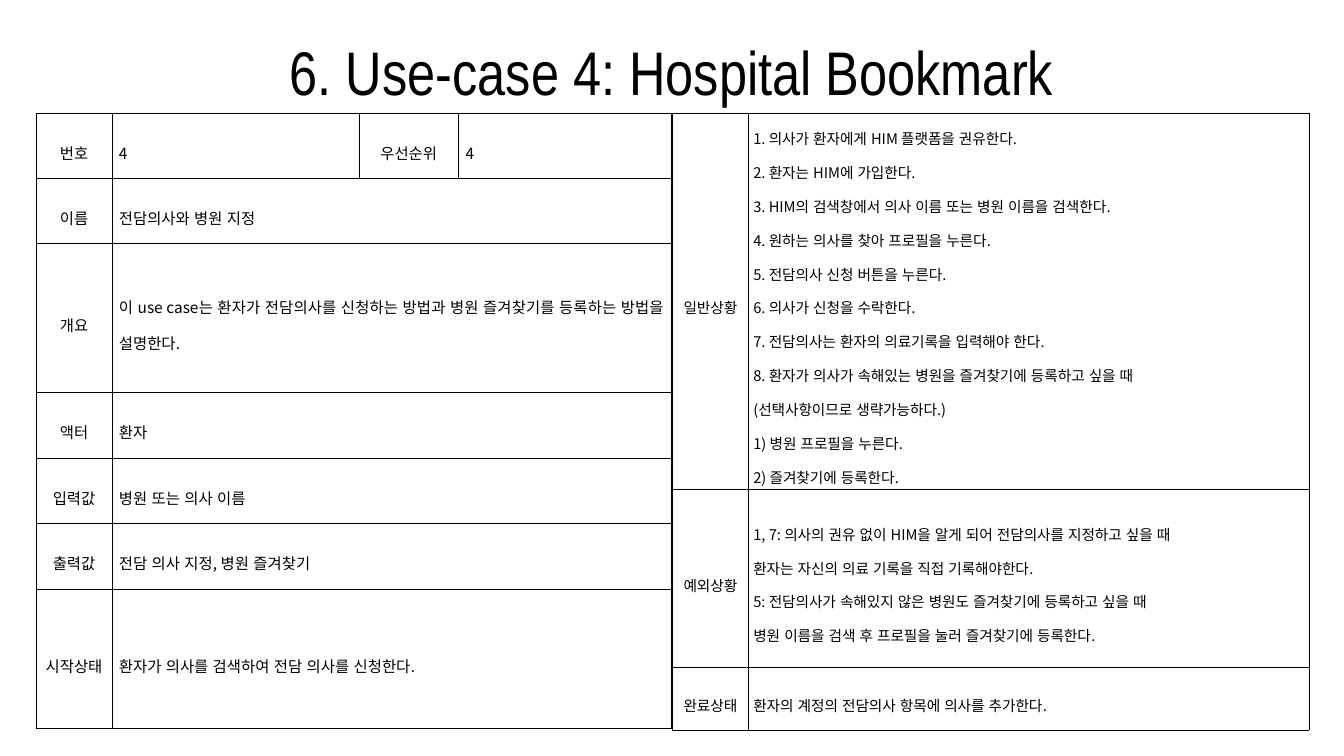
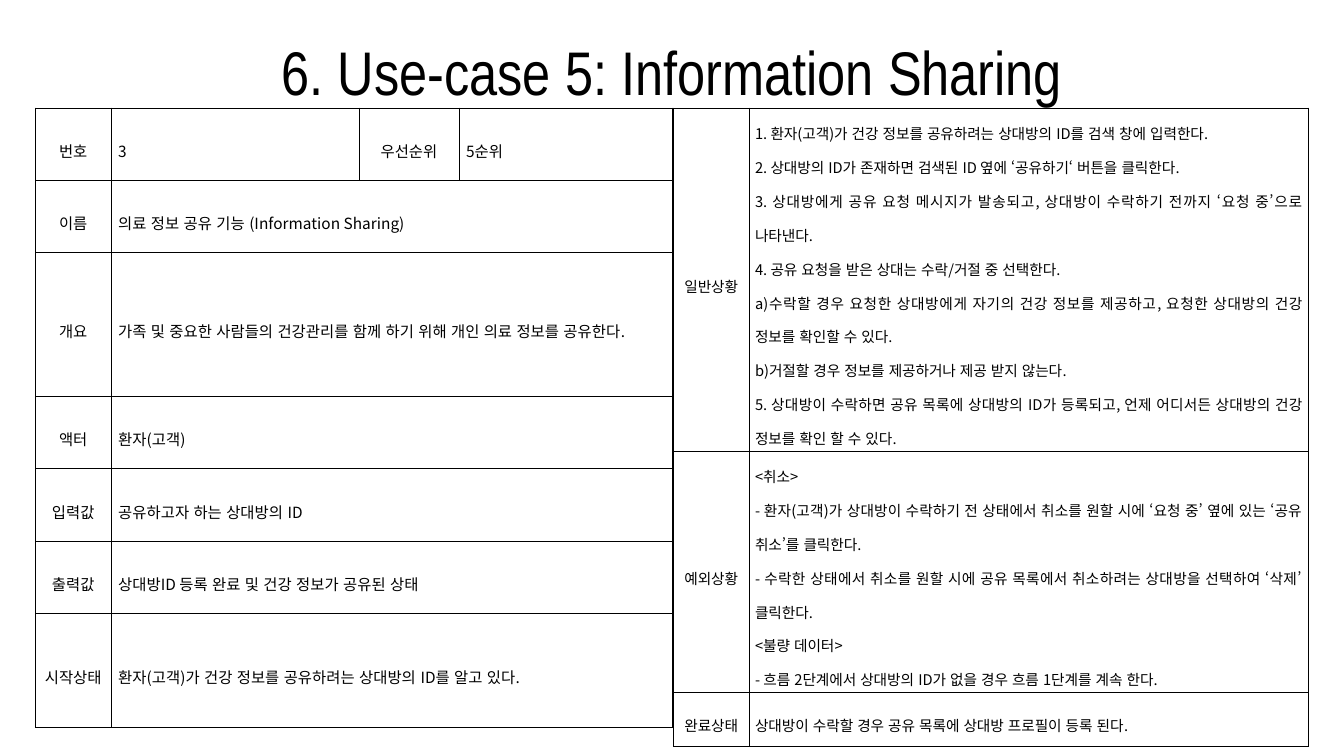
from dataclasses import dataclass

from pptx import Presentation
from pptx import util as u
from pptx.dml.color import RGBColor
from pptx.enum import lang, text
from pptx.oxml import parse_xml
from pptx.oxml.ns import nsdecls, qn

CENTER, JUSTIFY = text.PP_ALIGN.CENTER, text.PP_ALIGN.JUSTIFY
MIDDLE, BOTTOM = text.MSO_ANCHOR.MIDDLE, text.MSO_ANCHOR.BOTTOM


@dataclass(frozen=True)
class Theme:
    """Colours, fonts and sizes shared by the slides."""
    ink: str = "000000"
    title_font: str = "Arial Narrow"
    body_font: str = "Noto Sans CJK KR"
    title_size: float = 44
    summary_size: float = 11
    scenario_size: float = 10.5
    title_spacing: float = 0.9
    body_spacing: float = 1.6
    rule: float = 0.28


@dataclass(frozen=True)
class Box:
    """A region in percent of the slide's width and height."""
    x: float
    y: float
    w: float
    h: float

    def place(self):
        """Return left, top, width and height as lengths."""
        return (int(WIDTH * self.x / 100), int(HEIGHT * self.y / 100),
                int(WIDTH * self.w / 100), int(HEIGHT * self.h / 100))


THEME = Theme()
WIDTH, HEIGHT = u.Inches(13.33), u.Inches(7.5)
SUMMARY_COLUMNS = (0.75, 2.45, 0.99, 2.11)
SCENARIO_COLUMNS = (0.75, 5.55)
SUMMARY_LABELS = ("이름", "개요", "액터", "입력값", "출력값", "시작상태")
SCENARIO_LABELS = ("일반상황", "예외상황", "완료상태")

USE_CASES = (
    dict(
        title="6. Use-case 4: Hospital Bookmark",
        title_box=Box(0, 0.27, 100, 19.33),
        number="4",
        priority="4",
        summary=(
            "전담의사와 병원 지정",
            "이 use case는 환자가 전담의사를 신청하는 방법과 병원 즐겨찾기를 등록하는 방법을 설명한다.",
            "환자",
            "병원 또는 의사 이름",
            "전담 의사 지정, 병원 즐겨찾기",
            "환자가 의사를 검색하여 전담 의사를 신청한다.",
        ),
        summary_box=Box(2.7, 14.93, 47.26, 81.47),
        summary_rows=(0.65, 0.65, 1.48, 0.65, 0.65, 0.65, 1.39),
        scenario=(
            ("1. 의사가 환자에게 HIM 플랫폼을 권유한다.",
             "2. 환자는 HIM에 가입한다.",
             "3. HIM의 검색창에서 의사 이름 또는 병원 이름을 검색한다.",
             "4. 원하는 의사를 찾아 프로필을 누른다.",
             "5. 전담의사 신청 버튼을 누른다.",
             "6. 의사가 신청을 수락한다.",
             "7. 전담의사는 환자의 의료기록을 입력해야 한다.",
             "8. 환자가 의사가 속해있는 병원을 즐겨찾기에 등록하고 싶을 때",
             "(선택사항이므로 생략가능하다.)",
             "1) 병원 프로필을 누른다.",
             "2) 즐겨찾기에 등록한다."),
            ("1, 7: 의사의 권유 없이 HIM을 알게 되어 전담의사를 지정하고 싶을 때",
             "환자는 자신의 의료 기록을 직접 기록해야한다.",
             "5: 전담의사가 속해있지 않은 병원도 즐겨찾기에 등록하고 싶을 때",
             "병원 이름을 검색 후 프로필을 눌러 즐겨찾기에 등록한다."),
            ("환자의 계정의 전담의사 항목에 의사를 추가한다.",),
        ),
        scenario_box=Box(50.04, 14.93, 47.34, 81.6),
        scenario_rows=(3.73, 1.76, 0.62),
        scenario_insets=(0.05, 0.01),
        steps_anchor=MIDDLE,
    ),
    dict(
        title="6. Use-case 5: Information Sharing",
        title_box=Box(6.9, 0.27, 86.27, 19.33),
        number="3",
        priority="5순위",
        summary=(
            "의료 정보 공유 기능 (Information Sharing)",
            "가족 및 중요한 사람들의 건강관리를 함께 하기 위해 개인 의료 정보를 공유한다.",
            "환자(고객)",
            "공유하고자 하는 상대방의 ID",
            "상대방ID 등록 완료 및 건강 정보가 공유된 상태",
            "환자(고객)가 건강 정보를 공유하려는 상대방의 ID를 알고 있다.",
        ),
        summary_box=Box(2.63, 14.27, 47.41, 82),
        summary_rows=(0.72, 0.72, 1.43, 0.72, 0.72, 0.72, 1.14),
        scenario=(
            ("1. 환자(고객)가 건강 정보를 공유하려는 상대방의 ID를 검색 창에 입력한다.",
             "2. 상대방의 ID가 존재하면 검색된 ID 옆에 ‘공유하기‘ 버튼을 클릭한다.",
             "3. 상대방에게 공유 요청 메시지가 발송되고, 상대방이 수락하기 전까지 ‘요청 중’으로 나타낸다.",
             "4. 공유 요청을 받은 상대는 수락/거절 중 선택한다.",
             "a)수락할 경우 요청한 상대방에게 자기의 건강 정보를 제공하고, 요청한 상대방의 건강 정보를 확인할 수 있다.",
             "b)거절할 경우 정보를 제공하거나 제공 받지 않는다.",
             "5. 상대방이 수락하면 공유 목록에 상대방의 ID가 등록되고, 언제 어디서든 상대방의 건강 정보를 확인 할 수 있다."),
            ("<취소>",
             "- 환자(고객)가 상대방이 수락하기 전 상태에서 취소를 원할 시에 ‘요청 중’ 옆에 있는 ‘공유 취소’를 클릭한다.",
             "- 수락한 상태에서 취소를 원할 시에 공유 목록에서 취소하려는 상대방을 선택하여 ‘삭제’ 클릭한다.",
             "<불량 데이터>",
             "- 흐름 2단계에서 상대방의 ID가 없을 경우 흐름 1단계를 계속 한다."),
            ("상대방이 수락할 경우 공유 목록에 상대방 프로필이 등록 된다.",),
        ),
        scenario_box=Box(50.11, 14.27, 47.26, 82),
        scenario_rows=(3.3, 2.31, 0.54),
        scenario_insets=(0.06, 0.02),
        steps_anchor=BOTTOM,
    ),
)


def write(frame, lines, *, size, font=THEME.body_font, align=JUSTIFY,
          spacing=THEME.body_spacing, language=lang.MSO_LANGUAGE_ID.KOREAN):
    """Write each line as one formatted paragraph of the frame."""
    for index, line in enumerate(lines):
        paragraph = frame.add_paragraph() if index else frame.paragraphs[0]
        paragraph.alignment = align
        paragraph.line_spacing = spacing
        run = paragraph.add_run()
        run.text = line
        run.font.size = u.Pt(size)
        run.font.name = font
        run.font.color.rgb = RGBColor.from_string(THEME.ink)
        run.font.language_id = language
        east_asian = run.font._element.makeelement(qn("a:ea"), {"typeface": font})
        run.font._element.find(qn("a:latin")).addnext(east_asian)


def rule_cell(cell):
    """Give a cell thin borders on all sides and no fill."""
    properties = cell._tc.get_or_add_tcPr()
    for side in ("lnL", "lnR", "lnT", "lnB"):
        properties.append(parse_xml(
            f'<a:{side} {nsdecls("a")} w="{int(u.Pt(THEME.rule))}"><a:solidFill>'
            f'<a:srgbClr val="{THEME.ink}"/></a:solidFill></a:{side}>'))
    cell.fill.background()


def fill_cell(cell, lines, insets, anchor=MIDDLE, **style):
    """Set a cell's insets and anchor and write its lines."""
    cell.margin_left = cell.margin_right = u.Inches(insets[0])
    cell.margin_top = cell.margin_bottom = u.Inches(insets[1])
    cell.vertical_anchor = anchor
    write(cell.text_frame, lines, **style)


def add_grid(slide, box, columns, rows):
    """Add a ruled table whose columns and rows share the box by weight."""
    left, top, width, height = box.place()
    grid = slide.shapes.add_table(len(rows), len(columns), left, top, width, height).table
    grid.first_row = grid.horz_banding = False
    for column, weight in zip(grid.columns, columns):
        column.width = int(width * weight / sum(columns))
    for row, weight in zip(grid.rows, rows):
        row.height = int(height * weight / sum(rows))
    for cell in grid.iter_cells():
        rule_cell(cell)
    return grid


def add_title(slide, box, title):
    """Move and format the title placeholder."""
    heading = slide.shapes.title
    heading.left, heading.top, heading.width, heading.height = box.place()
    frame = heading.text_frame
    frame.word_wrap = True
    frame.auto_size = text.MSO_AUTO_SIZE.NONE
    frame.vertical_anchor = MIDDLE
    write(frame, [title], size=THEME.title_size, font=THEME.title_font, align=CENTER,
          spacing=THEME.title_spacing, language=lang.MSO_LANGUAGE_ID.ENGLISH_US)


def add_summary(slide, box, case):
    """Add the table of number, priority and summary fields."""
    grid = add_grid(slide, box, SUMMARY_COLUMNS, case["summary_rows"])
    entries = [("번호", case["number"], "우선순위", case["priority"])]
    entries += zip(SUMMARY_LABELS, case["summary"])
    for row, entry in enumerate(entries):
        if len(entry) == 2:
            grid.cell(row, 1).merge(grid.cell(row, len(SUMMARY_COLUMNS) - 1))
        for column, words in enumerate(entry):
            fill_cell(grid.cell(row, column), [words], (0.07, 0.02),
                      size=THEME.summary_size, align=JUSTIFY if column % 2 else CENTER)


def add_scenario(slide, box, case):
    """Add the table of normal steps, exceptions and end state."""
    grid = add_grid(slide, box, SCENARIO_COLUMNS, case["scenario_rows"])
    insets, size = case["scenario_insets"], THEME.scenario_size
    for row, (label, lines) in enumerate(zip(SCENARIO_LABELS, case["scenario"])):
        anchor = MIDDLE if row else case["steps_anchor"]
        fill_cell(grid.cell(row, 0), [label], insets, size=size, align=CENTER)
        fill_cell(grid.cell(row, 1), lines, insets, anchor, size=size)


def add_use_case(deck, case):
    """Add one use-case slide."""
    slide = deck.slides.add_slide(deck.slide_layouts.get_by_name("Title Only"))
    add_title(slide, case["title_box"], case["title"])
    add_summary(slide, case["summary_box"], case)
    add_scenario(slide, case["scenario_box"], case)


def main():
    """Build and save the presentation."""
    deck = Presentation()
    deck.slide_width, deck.slide_height = WIDTH, HEIGHT
    for case in USE_CASES:
        add_use_case(deck, case)
    deck.save("out.pptx")


if __name__ == "__main__":
    main()
